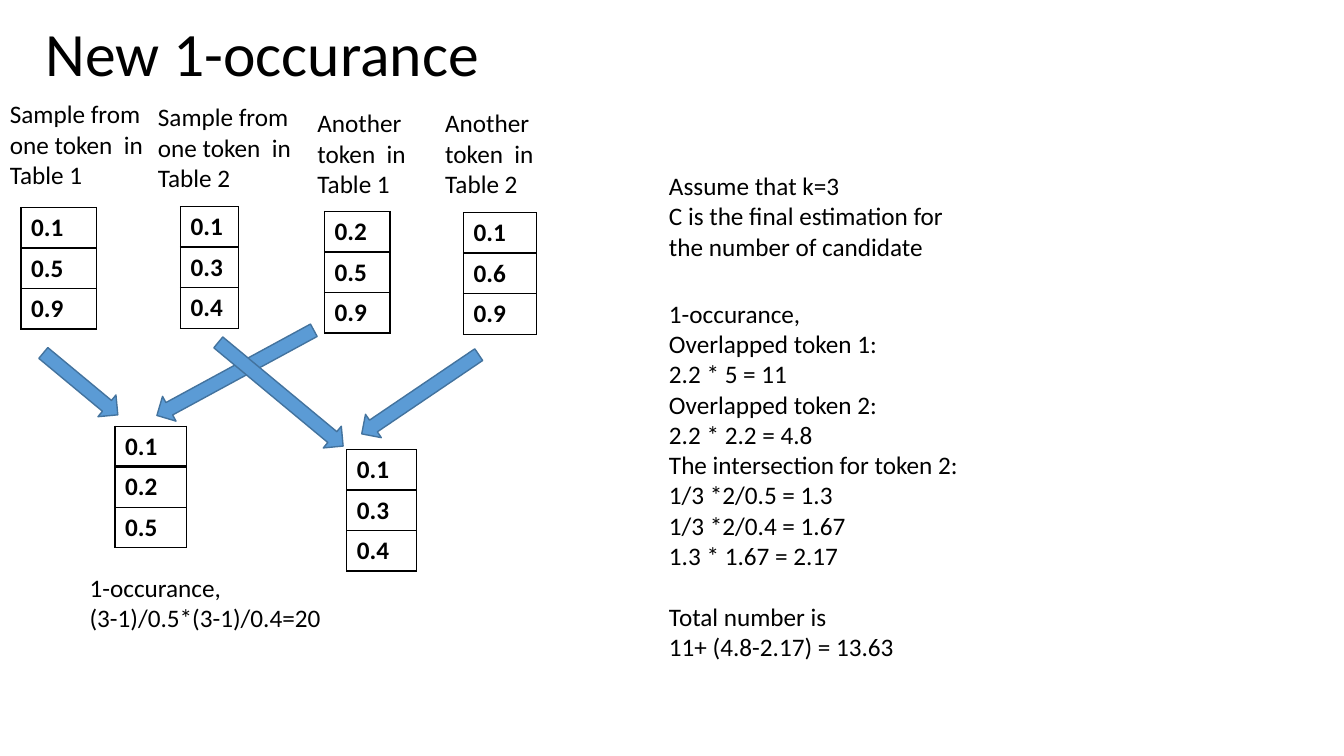
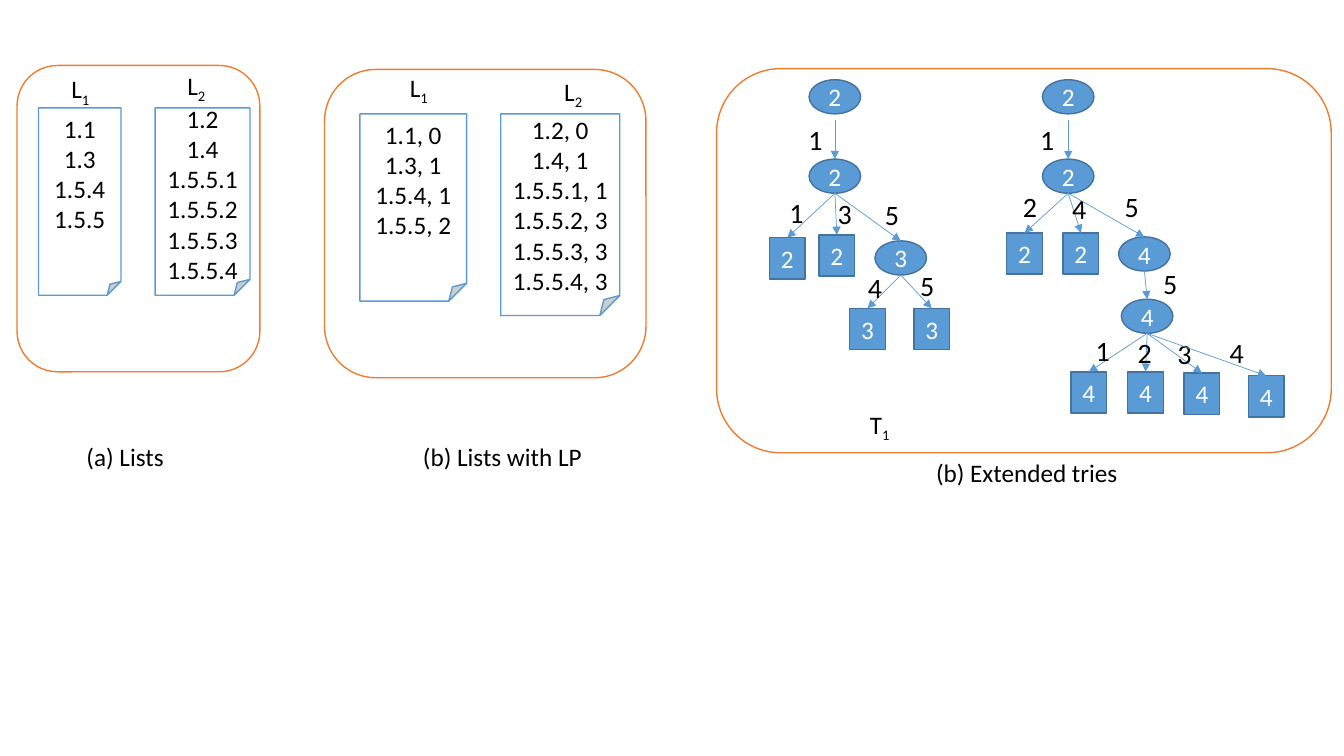
from dataclasses import dataclass, field

from lxml.etree import SubElement
from pptx import Presentation
from pptx.dml.color import RGBColor
from pptx.enum.shapes import MSO_CONNECTOR, MSO_SHAPE
from pptx.enum.text import MSO_ANCHOR, MSO_AUTO_SIZE, PP_ALIGN
from pptx.oxml.ns import qn
from pptx.util import Cm, Pt


@dataclass(frozen=True)
class Theme:
    font: str = "Calibri"
    ink: RGBColor = RGBColor(0x00, 0x00, 0x00)
    paper: RGBColor = RGBColor(0xFF, 0xFF, 0xFF)
    blue: RGBColor = RGBColor(0x5B, 0x9B, 0xD5)
    dark_blue: RGBColor = RGBColor(0x43, 0x73, 0x9E)
    orange: RGBColor = RGBColor(0xED, 0x7D, 0x31)
    title_size: int = 44
    body_size: int = 18
    edge_size: int = 20
    outline: float = 1
    edge_line: float = 0.5
    header_line: float = 2


@dataclass
class Node:
    """A trie node: count, centre and top, then the label of the edge above."""
    count: str
    center: float
    top: float
    label: str = ""
    label_center: float = 0
    label_top: float = 0
    children: list = field(default_factory=list)
    gap: float = 0

    @property
    def size(self):
        return (1.3, 0.86) if self.children else (0.9, 1.04)


class Builder:
    def __init__(self, theme):
        self.theme = theme
        self.deck = Presentation()
        self.deck.slide_width, self.deck.slide_height = Cm(33.87), Cm(19.05)
        self.page = None

    def new_page(self, title=None):
        layout = self.deck.slide_layouts[6 if title is None else 5]
        self.page = self.deck.slides.add_slide(layout)
        if title is not None:
            box = self.page.shapes.title
            box.left, box.top, box.width, box.height = Cm(0.89), Cm(0.15), Cm(17.88), Cm(2.54)
            frame = box.text_frame
            frame.auto_size = MSO_AUTO_SIZE.NONE
            frame.vertical_anchor = MSO_ANCHOR.MIDDLE
            self.add_lines(frame, [title], size=self.theme.title_size)
            frame.paragraphs[0].line_spacing = 0.9

    def add_span(self, para, text, size, color, bold=False):
        span = para.add_run()
        span.text = text
        span.font.name = self.theme.font
        span.font.size = Pt(size)
        span.font.color.rgb = color
        span.font.bold = bold
        return span

    def add_lines(self, frame, lines, size=None, color=None, align=PP_ALIGN.LEFT, bold=False):
        for index, line in enumerate(lines):
            para = frame.add_paragraph() if index else frame.paragraphs[0]
            para.alignment = align
            self.add_span(para, line, size or self.theme.body_size,
                          color or self.theme.ink, bold)

    def text(self, left, top, width, height, lines, wrap=True, **style):
        box = self.page.shapes.add_textbox(Cm(left), Cm(top), Cm(width), Cm(height))
        box.text_frame.word_wrap = wrap
        self.add_lines(box.text_frame, lines, **style)
        return box

    def indexed_label(self, left, top, letter, index):
        box = self.text(left, top, 1.05, 1.03, [letter])
        span = self.add_span(box.text_frame.paragraphs[0], index,
                             self.theme.body_size, self.theme.ink)
        span.font._element.set("baseline", "-25000")

    def shape(self, kind, left, top, width, height, fill, line):
        shape = self.page.shapes.add_shape(kind, Cm(left), Cm(top), Cm(width), Cm(height))
        shape.shadow.inherit = False
        shape.fill.solid()
        shape.fill.fore_color.rgb = fill
        shape.line.color.rgb = line
        shape.line.width = Pt(self.theme.outline)
        return shape

    def panel(self, left, top, width, height):
        self.shape(MSO_SHAPE.ROUNDED_RECTANGLE, left, top, width, height,
                   self.theme.paper, self.theme.orange)

    def sheet(self, left, top, width, height, lines, anchor):
        sheet = self.shape(MSO_SHAPE.FOLDED_CORNER, left, top, width, height,
                           self.theme.paper, self.theme.blue)
        sheet.text_frame.vertical_anchor = anchor
        self.add_lines(sheet.text_frame, lines, align=PP_ALIGN.CENTER)

    def block_arrow(self, left, top, length, angle):
        arrow = self.shape(MSO_SHAPE.RIGHT_ARROW, left, top, length, 0.71,
                           self.theme.blue, self.theme.dark_blue)
        arrow.rotation = angle

    def border(self, cell, side, width):
        line = SubElement(cell._tc.get_or_add_tcPr(), qn("a:" + side), w=str(Pt(width)))
        fill = SubElement(line, qn("a:solidFill"))
        SubElement(fill, qn("a:srgbClr"), val=str(self.theme.ink))

    def sample_table(self, left, top, width, values):
        row_height = 1.02
        table = self.page.shapes.add_table(
            len(values), 1, Cm(left), Cm(top), Cm(width), Cm(row_height * len(values))).table
        table.first_row = table.horz_banding = False
        table.columns[0].width = Cm(width)
        thin, thick = self.theme.outline, self.theme.header_line
        for index, value in enumerate(values):
            table.rows[index].height = Cm(row_height)
            cell = table.cell(index, 0)
            self.border(cell, "lnL", thin)
            self.border(cell, "lnR", thin)
            self.border(cell, "lnT", thick if index == 1 else thin)
            self.border(cell, "lnB", thick if index == 0 else thin)
            cell.fill.background()
            self.add_lines(cell.text_frame, [value], bold=True)

    def edge(self, start_x, start_y, child):
        edge = self.page.shapes.add_connector(
            MSO_CONNECTOR.STRAIGHT, Cm(start_x), Cm(start_y), child.left, child.top)
        edge.end_connect(child, 0)
        edge.line.color.rgb = self.theme.blue
        edge.line.width = Pt(self.theme.edge_line)
        SubElement(edge.line._get_or_add_ln(), qn("a:tailEnd"), type="triangle")
        SubElement(edge._element.spPr, qn("a:effectLst"))

    def trie(self, node):
        width, height = node.size
        kind = MSO_SHAPE.OVAL if node.children else MSO_SHAPE.RECTANGLE
        shape = self.shape(kind, node.center - width / 2, node.top, width, height,
                           self.theme.blue, self.theme.dark_blue)
        frame = shape.text_frame
        frame.margin_left = frame.margin_right = frame.margin_top = frame.margin_bottom = 0
        frame.vertical_anchor = MSO_ANCHOR.MIDDLE
        self.add_lines(frame, [node.count], color=self.theme.paper, align=PP_ALIGN.CENTER)
        for child in node.children:
            self.edge(node.center, node.top + height + node.gap, self.trie(child))
            self.text(child.label_center - 0.43, child.label_top, 0.86, 1.12, [child.label],
                      wrap=False, size=self.theme.edge_size, align=PP_ALIGN.CENTER)
        return shape


def build_occurrence_page(builder):
    builder.new_page("New 1-occurance")

    # Headings above the samples
    for left, top, width, heading in [
        (0, 2.36, 4.14, "Sample from one token  in Table 1"),
        (3.73, 2.44, 4.14, "Sample from one token  in Table 2"),
        (7.75, 2.59, 3.9, "Another token  in Table 1"),
        (10.97, 2.59, 3.9, "Another token  in Table 2"),
    ]:
        builder.text(left, top, width, 2.57, [heading])

    # Samples and their merged results
    for left, top, width, values in [
        (0.53, 5.23, 1.9, ["0.1", "0.5", "0.9"]),
        (4.55, 5.21, 1.47, ["0.1", "0.3", "0.4"]),
        (8.18, 5.33, 1.65, ["0.2", "0.5", "0.9"]),
        (11.68, 5.36, 1.85, ["0.1", "0.6", "0.9"]),
        (2.9, 10.74, 1.8, ["0.1", "0.2", "0.5"]),
        (8.74, 11.33, 1.75, ["0.1", "0.3", "0.4"]),
    ]:
        builder.sample_table(left, top, width, values)

    # Arrows from samples to results
    for left, top, length, angle in [
        (0.81, 9.32, 2.44, 39.7),
        (3.68, 9.04, 4.5, 151.5),
        (5.03, 9.58, 4.09, 39.7),
        (8.81, 9.58, 3.56, 145.9),
    ]:
        builder.block_arrow(left, top, length, angle)

    # Calculations
    builder.text(2.01, 14.3, 6.5, 1.8, ["1-occurance,", "(3-1)/0.5*(3-1)/0.4=20"])
    builder.text(16.61, 4.17, 7.6, 2.57, [
        "Assume that k=3", "C is the final estimation for the number of candidate"])
    estimate = builder.text(16.61, 7.39, 8.18, 9.4, [
        "1-occurance,",
        "Overlapped token 1:", "2.2 * 5 = 11",
        "Overlapped token 2:", "2.2 * 2.2 = 4.8",
        "The intersection for token 2:",
        "1/3 *2/0.5 = 1.3", "1/3 *2/0.4 = 1.67", "1.3 * 1.67 = 2.17",
        "Total number is", "11+ (4.8-2.17) = 13.63",
    ])
    estimate.text_frame.paragraphs[-2].space_before = Pt(22)


def build_structures_page(builder):
    builder.new_page()

    # Panels and captions
    for left, top, width, height in [
        (18.06, 1.73, 15.49, 9.68), (8.18, 1.75, 8.1, 7.77), (0.43, 1.65, 6.12, 7.72),
    ]:
        builder.panel(left, top, width, height)
    for left, top, width, caption in [
        (1.93, 11, 2.7, "(a) Lists"),
        (10.41, 11, 4.6, "(b) Lists with LP"),
        (23.34, 11.4, 5.36, "(b) Extended tries"),
    ]:
        builder.text(left, top, width, 1.03, [caption])

    # Lists
    for left, top, width, height, anchor, entries in [
        (0.97, 2.72, 2.08, 4.72, MSO_ANCHOR.TOP, ["1.1", "1.3", "1.5.4", "1.5.5"]),
        (3.91, 2.72, 2.39, 4.72, MSO_ANCHOR.MIDDLE,
         ["1.2", "1.4", "1.5.5.1", "1.5.5.2", "1.5.5.3", "1.5.5.4"]),
        (9.07, 2.87, 2.69, 4.72, MSO_ANCHOR.TOP,
         ["1.1, 0", "1.3, 1", "1.5.4, 1", "1.5.5, 2"]),
        (12.62, 2.87, 3, 5.08, MSO_ANCHOR.MIDDLE,
         ["1.2, 0", "1.4, 1", "1.5.5.1, 1", "1.5.5.2, 3", "1.5.5.3, 3", "1.5.5.4, 3"]),
    ]:
        builder.sheet(left, top, width, height, entries, anchor)

    # Tries
    builder.trie(Node("2", 21.04, 2.01, gap=0.15, children=[
        Node("2", 21.04, 4.01, "1", 20.55, 2.95, [
            Node("2", 19.84, 5.99, "1", 20.07, 4.8),
            Node("2", 21.09, 5.92, "3", 21.29, 4.83),
            Node("3", 22.7, 6.07, "5", 22.48, 4.85, [
                Node("3", 21.86, 7.77, "4", 22.05, 6.68),
                Node("3", 23.48, 7.77, "5", 23.37, 6.65),
            ]),
        ]),
    ]))
    builder.trie(Node("2", 26.92, 2.01, gap=0.15, children=[
        Node("2", 26.92, 4.01, "1", 26.39, 2.95, [
            Node("2", 25.82, 5.87, "2", 25.96, 4.65),
            Node("2", 27.24, 5.87, "4", 27.2, 4.7),
            Node("4", 28.84, 5.97, "5", 28.52, 4.65, [
                Node("4", 28.91, 7.54, "5", 29.49, 6.6, [
                    Node("4", 27.44, 9.37, "1", 27.79, 8.28),
                    Node("4", 28.87, 9.37, "2", 28.85, 8.33),
                    Node("4", 30.29, 9.4, "3", 29.85, 8.36),
                    Node("4", 31.91, 9.47, "4", 31.17, 8.33),
                ]),
            ]),
        ]),
    ]))

    # Names of the lists and the trie
    for left, top, letter, index in [
        (1.55, 1.73, "L", "1"), (4.47, 1.65, "L", "2"), (10.08, 1.7, "L", "1"),
        (13.97, 1.8, "L", "2"), (21.67, 10.19, "T", "1"),
    ]:
        builder.indexed_label(left, top, letter, index)


def main():
    builder = Builder(Theme())
    build_occurrence_page(builder)
    build_structures_page(builder)
    builder.deck.save("out.pptx")


if __name__ == "__main__":
    main()
